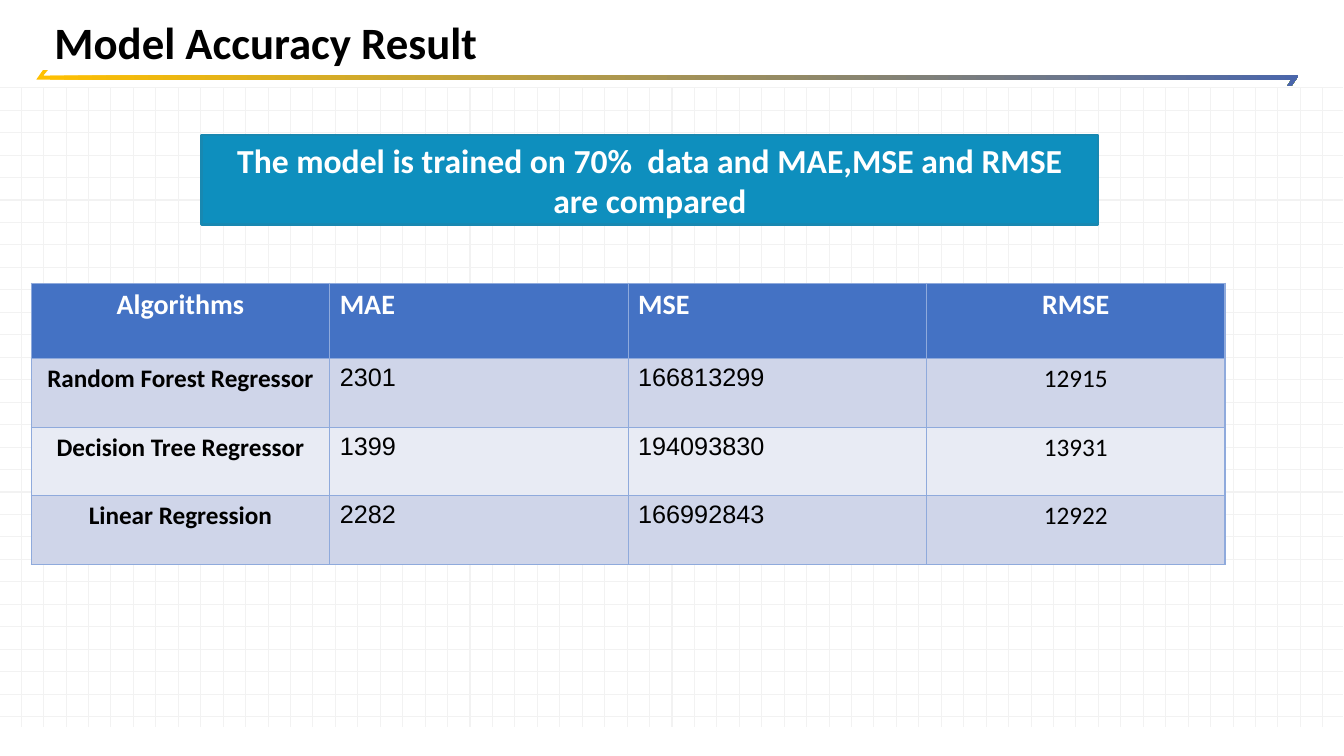
"""Build the model accuracy slide with its results table."""
from lxml.etree import SubElement
from pptx import Presentation
from pptx.dml.color import RGBColor
from pptx.enum.shapes import MSO_CONNECTOR as Connector, MSO_SHAPE as Shape
from pptx.enum.text import MSO_ANCHOR as Anchor, MSO_AUTO_SIZE as AutoSize, PP_ALIGN as Align
from pptx.oxml import parse_xml
from pptx.oxml.ns import nsdecls, qn
from pptx.util import Inches, Pt

TITLE = "Model Accuracy Result"
BANNER = "The model is trained on 70%  data and MAE,MSE and RMSE are compared"
RESULTS = [
    ("Algorithms", "MAE", "MSE", "RMSE"),
    ("Random Forest Regressor", "2301", "166813299", "12915"),
    ("Decision Tree Regressor", "1399", "194093830", "13931"),
    ("Linear Regression", "2282", "166992843", "12922"),
]
COLORS = {
    "grid": "F2F2F2", "gold": "FFC000", "blue": "4A66AC", "black": "000000",
    "white": "FFFFFF", "banner": "0E8FBE", "banner_line": "1888B1",
    "header": "4472C4", "odd": "CFD5E9", "even": "E8EBF4", "border": "8FAADC",
}
COLUMN_ALIGNMENTS = [Align.CENTER, Align.LEFT, Align.LEFT, Align.CENTER]
COLUMN_FONTS = ["Calibri", "Arial", "Arial", "Calibri"]
ROW_HEIGHTS = [0.75, 0.68, 0.68, 0.68]
COLUMN_WIDTH = 2.96
GRID_LEFT, GRID_TOP, GRID_RIGHT, GRID_BOTTOM = 0, 0.87, 13.32, 7.21
FIRST_VERTICAL, LAST_VERTICAL, VERTICAL_COUNT = 0.21, 13.12, 59
LAST_HORIZONTAL, HORIZONTAL_COUNT = 7.11, 29
RULE_POINTS = [
    (0.43, 0.69), (0.48, 0.69), (0.43, 0.75), (12.88, 0.75),
    (12.81, 0.85), (12.77, 0.85), (12.81, 0.79), (0.36, 0.79),
]


def color(name):
    return RGBColor.from_string(COLORS[name])


def inches(*lengths):
    return [Inches(length) for length in lengths]


def spread(first, last, count):
    return [first + (last - first) * index / (count - 1) for index in range(count)]


def write(frame, text, alignment, color_name, **font_format):
    frame.text = text
    paragraph = frame.paragraphs[0]
    paragraph.alignment = alignment
    font = paragraph.runs[0].font
    for name, value in font_format.items():
        setattr(font, name, value)
    font.color.rgb = color(color_name)
    return paragraph


def add_grid(slide):
    ends = [(x, GRID_TOP, x, GRID_BOTTOM)
            for x in spread(FIRST_VERTICAL, LAST_VERTICAL, VERTICAL_COUNT)]
    ends += [(GRID_LEFT, y, GRID_RIGHT, y)
             for y in spread(GRID_TOP, LAST_HORIZONTAL, HORIZONTAL_COUNT)]
    group = slide.shapes.add_group_shape()
    for line_ends in ends:
        line = group.shapes.add_connector(Connector.STRAIGHT, *inches(*line_ends))
        line.line.color.rgb = color("grid")
        line.line.width = Pt(0.75)
        SubElement(line._element.spPr, qn("a:effectLst"))


def add_title_rule(slide):
    start, *others = [inches(*point) for point in RULE_POINTS]
    builder = slide.shapes.build_freeform(*start)
    builder.add_line_segments(others, close=True)
    rule = builder.convert_to_shape()
    rule.shadow.inherit = False
    rule.line.fill.background()
    rule.fill.gradient()
    rule.fill.gradient_angle = 0
    for stop, name in zip(rule.fill.gradient_stops, ("gold", "blue")):
        stop.color.rgb = color(name)


def add_title(slide):
    title = slide.shapes.title
    title.left, title.top, title.width, title.height = inches(0.44, 0, 12.44, 0.74)
    paragraph = write(title.text_frame, TITLE, Align.LEFT, "black",
                      name="Calibri", size=Pt(32), bold=True)
    paragraph.line_spacing = 0.9
    title.text_frame.auto_size = AutoSize.NONE
    title.text_frame.vertical_anchor = Anchor.BOTTOM


def add_borders(cell):
    properties = cell._tc.get_or_add_tcPr()
    for index, side in enumerate("LRTB"):
        properties.insert(index, parse_xml(
            f'<a:ln{side} {nsdecls("a")} w="{Pt(0.96)}"><a:solidFill>'
            f'<a:srgbClr val="{COLORS["border"]}"/></a:solidFill></a:ln{side}>'))


def add_results(slide):
    column_count = len(RESULTS[0])
    table = slide.shapes.add_table(
        len(RESULTS), column_count,
        *inches(0.31, 2.81, COLUMN_WIDTH * column_count, sum(ROW_HEIGHTS))).table
    for column in table.columns:
        column.width = Inches(COLUMN_WIDTH)
    for row_index, (values, height) in enumerate(zip(RESULTS, ROW_HEIGHTS)):
        is_header = row_index == 0
        fill_name = "header" if is_header else "odd" if row_index % 2 else "even"
        table.rows[row_index].height = Inches(height)
        for column_index, value in enumerate(values):
            cell = table.cell(row_index, column_index)
            cell.fill.solid()
            cell.fill.fore_color.rgb = color(fill_name)
            add_borders(cell)
            write(cell.text_frame, value, COLUMN_ALIGNMENTS[column_index],
                  "white" if is_header else "black",
                  name="Calibri" if is_header else COLUMN_FONTS[column_index],
                  size=Pt(20 if is_header else 18),
                  bold=is_header or column_index == 0)


def add_banner(slide):
    banner = slide.shapes.add_shape(Shape.RECTANGLE, *inches(2, 1.34, 8.89, 0.89))
    banner.shadow.inherit = False
    banner.fill.solid()
    banner.fill.fore_color.rgb = color("banner")
    banner.line.color.rgb = color("banner_line")
    banner.line.width = Pt(2)
    banner.text_frame.word_wrap = True
    banner.text_frame.vertical_anchor = Anchor.MIDDLE
    write(banner.text_frame, BANNER, Align.CENTER, "white",
          name="Calibri", size=Pt(24), bold=True)


presentation = Presentation()
presentation.slide_width, presentation.slide_height = inches(13.33, 7.5)
slide = presentation.slides.add_slide(presentation.slide_layouts[5])
for add_part in (add_grid, add_title_rule, add_title, add_results, add_banner):
    add_part(slide)
presentation.save("out.pptx")
